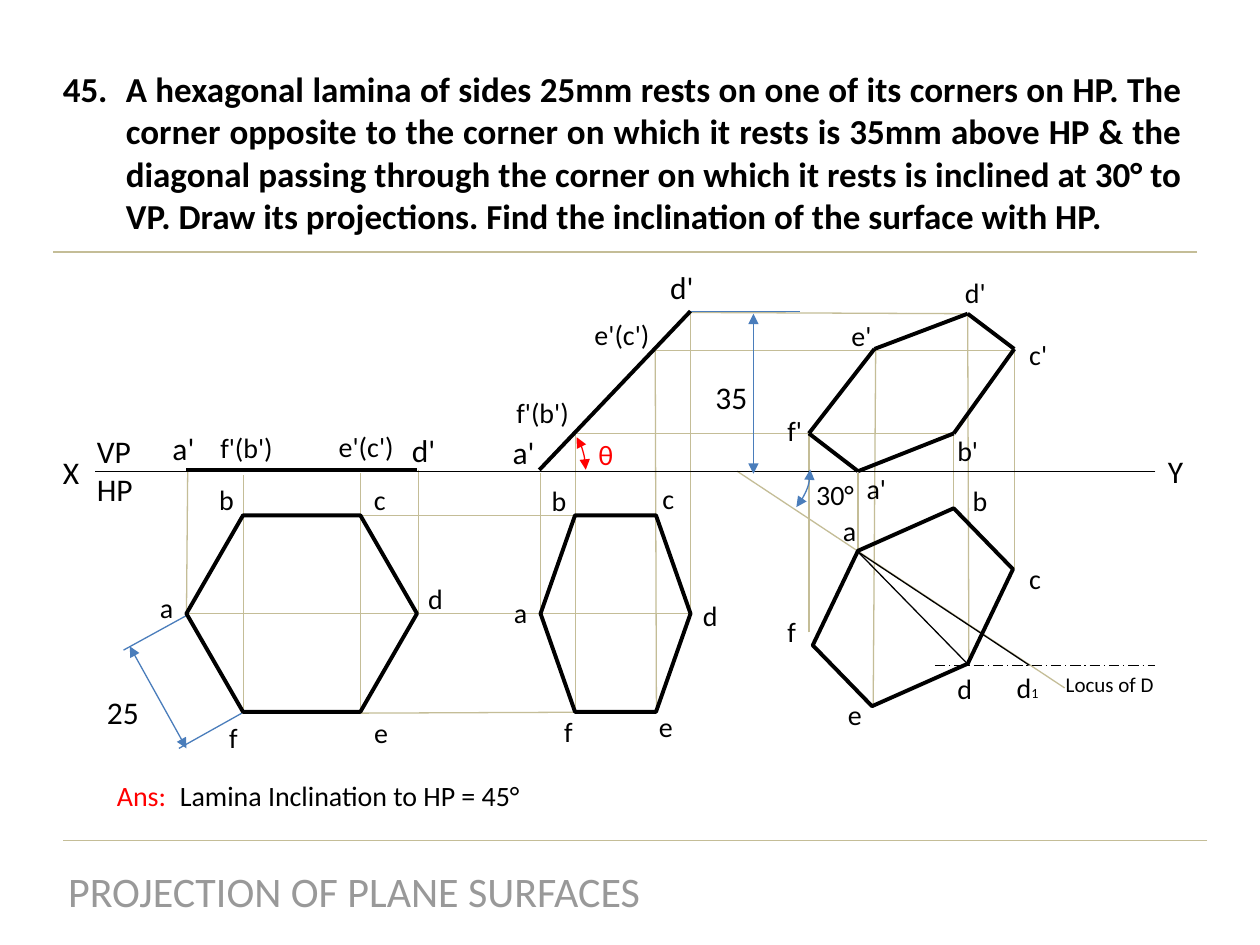
from dataclasses import dataclass

from pptx import Presentation
from pptx.dml.color import RGBColor
from pptx.enum.dml import MSO_LINE
from pptx.enum.shapes import MSO_CONNECTOR, MSO_SHAPE
from pptx.enum.text import PP_ALIGN
from pptx.oxml.ns import qn
from pptx.util import Inches, Pt
from lxml.etree import SubElement


@dataclass(frozen=True)
class Theme:
    font: str = "Calibri"
    ink: str = "000000"
    guide: str = "C4BD97"
    dimension: str = "4A7DBB"
    accent: str = "FF0000"
    footer: str = "999999"
    thin: float = 0.75
    thick: float = 2.25
    subscript: int = 8
    note: int = 12
    small: int = 16
    label: int = 18
    problem: int = 20
    title: int = 24


class Drawing:
    def __init__(self, slide, theme):
        self.slide = slide
        self.theme = theme

    def stroke(self, shape, color, width, arrows=False):
        shape.line.color.rgb = RGBColor.from_string(color)
        shape.line.width = Pt(width)
        if arrows:
            outline = shape.element.spPr.get_or_add_ln()
            for end in ("a:headEnd", "a:tailEnd"):
                SubElement(outline, qn(end), type="triangle")

    def line(self, start, end, color, width=None, arrows=False, dash=None):
        points = [Inches(value) for value in (*start, *end)]
        connector = self.slide.shapes.add_connector(MSO_CONNECTOR.STRAIGHT, *points)
        if dash:
            connector.line.dash_style = dash
        self.stroke(connector, color, width or self.theme.thin, arrows)
        SubElement(connector.element.spPr, qn("a:effectLst"))

    def outline(self, kind, box, adjustments, color, width, rotation=0, arrows=False):
        shape = self.slide.shapes.add_shape(kind, *[Inches(value) for value in box])
        shape.shadow.inherit = False
        for index, value in enumerate(adjustments):
            shape.adjustments[index] = value
        shape.rotation = rotation
        shape.fill.background()
        self.stroke(shape, color, width, arrows)

    def hexagon(self, box, inset, rotation=0):
        self.outline(MSO_SHAPE.HEXAGON, box, (inset, 1.155), self.theme.ink,
                     self.theme.thick, rotation)

    def angle(self, box, sweep, color, rotation=0):
        self.outline(MSO_SHAPE.ARC, box, sweep, color, self.theme.thin, rotation, True)

    def text(self, box, paragraphs, size, color=None, align=PP_ALIGN.LEFT,
             bold=False, wrap=False):
        text_box = self.slide.shapes.add_textbox(*[Inches(value) for value in box])
        text_frame = text_box.text_frame
        text_frame.word_wrap = wrap
        text_frame.text = "\n".join(paragraphs)
        for paragraph in text_frame.paragraphs:
            paragraph.alignment = align
            for run in paragraph.runs:
                self.style(run, size, color or self.theme.ink, bold)
        return text_frame.paragraphs[0]

    def style(self, run, size, color, bold=False):
        run.font.name = self.theme.font
        run.font.size = Pt(size)
        run.font.bold = bold
        run.font.color.rgb = RGBColor.from_string(color)

    def add_run(self, paragraph, text, size):
        run = paragraph.add_run()
        run.text = text
        self.style(run, size, self.theme.ink)

    def hang(self, paragraph, indent, start=None):
        properties = paragraph._p.get_or_add_pPr()
        properties.set("marL", str(Inches(indent)))
        properties.set("indent", str(-Inches(indent)))
        if start:
            SubElement(properties, qn("a:buFont"), typeface="+mj-lt")
            SubElement(properties, qn("a:buAutoNum"), type="arabicPeriod",
                       startAt=str(start))


GUIDES = [
    ((5.48, 2.48), (7.68, 2.49)), ((9.58, 6.67), (0.5, 6.67)), ((9.5, 2), (0.42, 2)),
    ((1.93, 5.66), (1.93, 3.77)), ((2.86, 5.66), (2.86, 3.75)),
    ((3.32, 3.73), (3.32, 4.87)), ((1.48, 4.87), (5.48, 4.87)),
    ((1.49, 3.73), (1.48, 4.87)), ((4.29, 4.87), (4.29, 3.75)),
    ((5.48, 4.87), (5.48, 2.49)), ((4.57, 5.65), (4.57, 3.41)),
    ((5.21, 5.65), (5.2, 2.77)), ((2.86, 4.09), (5.21, 4.09)),
    ((2.86, 5.66), (5.21, 5.65)), ((5.85, 3.74), (8.45, 5.46)),
    ((6.81, 4.38), (6.81, 3.75)), ((7.69, 5.28), (7.68, 2.49)),
    ((6.42, 5.02), (6.42, 3.44)), ((6.93, 5.61), (6.95, 2.78)),
    ((8.05, 4.52), (8.05, 2.78)), ((7.57, 4.04), (7.57, 3.44)),
    ((5.2, 2.78), (8.05, 2.78)), ((4.56, 3.44), (7.57, 3.44)),
]
FINAL_ELEVATION = [(6.81, 3.74), (7.57, 3.44), (8.05, 2.77),
                   (7.68, 2.49), (6.94, 2.77), (6.42, 3.44)]
CORNER_WIDTHS = {"a": 0.31, "b": 0.32, "c": 0.3, "d": 0.32, "e": 0.31, "f": 0.27,
                 "a'": 0.36, "b'": 0.37, "c'": 0.35, "d'": 0.37, "e'": 0.36, "f'": 0.32,
                 "f'(b')": 0.62, "e'(c')": 0.66, "30°": 0.54}
CORNERS = [
    ("a", 1.17, 4.64), ("b", 1.64, 3.78), ("c", 2.87, 3.78),
    ("d", 3.3, 4.57), ("e", 2.87, 5.63), ("f", 1.72, 5.67),
    ("a", 3.98, 4.68), ("b", 4.28, 3.79), ("c", 5.16, 3.77),
    ("d", 5.48, 4.7), ("e", 5.13, 5.58), ("f", 4.38, 5.62),
    ("a", 6.59, 4.03), ("b", 7.62, 3.79), ("c", 8.07, 4.41),
    ("d", 7.5, 5.28), ("e", 6.63, 5.49), ("f", 6.15, 4.83),
    ("a'", 6.78, 3.69), ("b'", 7.5, 3.39), ("c'", 8.07, 2.63),
    ("d'", 7.56, 2.14), ("e'", 6.66, 2.48), ("f'", 6.15, 3.23),
    ("f'(b')", 1.65, 3.37), ("e'(c')", 2.59, 3.36),
    ("f'(b')", 4, 3.09), ("e'(c')", 4.62, 2.47), ("30°", 6.38, 3.74),
]
LARGE_LABELS = [
    ("35", 5.58, 2.95, 0.46), ("25", 0.75, 5.45, 0.46),
    ("X", 0.4, 3.55, 0.33), ("Y", 9.17, 3.54, 0.32),
    ("a'", 1.27, 3.36, 0.42), ("d'", 3.17, 3.37, 0.45),
    ("a'", 3.97, 3.39, 0.42), ("d'", 5.22, 2.08, 0.45),
]
PROBLEM = (
    "A hexagonal lamina of sides 25mm rests on one of its corners on HP. The corner "
    "opposite to the corner on which it rests is 35mm above HP & the diagonal passing "
    "through the corner on which it rests is inclined at 30° to VP. Draw its "
    "projections. Find the inclination of the surface with HP."
)


def main():
    theme = Theme()
    presentation = Presentation()
    presentation.slide_width = Inches(10)
    presentation.slide_height = Inches(7.5)
    slide = presentation.slides.add_slide(presentation.slide_layouts[6])
    drawing = Drawing(slide, theme)

    for start, end in GUIDES:
        drawing.line(start, end, theme.guide)

    drawing.line((9.17, 3.74), (0.75, 3.74), theme.ink)
    drawing.line((7.42, 5.28), (9.17, 5.28), theme.ink, dash=MSO_LINE.LONG_DASH_DOT)
    for end in ((7.69, 5.28), (8.17, 5.28)):
        drawing.line((6.81, 4.38), end, theme.ink)

    for start, end in (((5.98, 2.49), (5.98, 3.76)), ((1.03, 5.13), (1.48, 5.94))):
        drawing.line(start, end, theme.dimension, arrows=True)
    for start, end in (((5.48, 2.47), (6.35, 2.47)), ((0.98, 5.16), (1.49, 4.88)),
                       ((1.42, 5.94), (1.92, 5.66))):
        drawing.line(start, end, theme.dimension)

    drawing.hexagon((1.48, 4.09, 1.83, 1.56), 0.288)
    drawing.hexagon((4.29, 4.09, 1.19, 1.56), 0.23)
    drawing.hexagon((6.62, 4.04, 1.25, 1.56), 0.23, 45.8)
    drawing.line((3.31, 3.73), (1.48, 3.73), theme.ink, theme.thick)
    drawing.line((5.48, 2.47), (4.28, 3.73), theme.ink, theme.thick)
    for start, end in zip(FINAL_ELEVATION, FINAL_ELEVATION[1:] + FINAL_ELEVATION[:1]):
        drawing.line(start, end, theme.ink, theme.thick)

    drawing.angle((4.29, 3.4, 0.36, 0.71), (174.47, 210.92), theme.accent)
    drawing.angle((5.68, 3.4, 0.67, 0.92), (174.47, 202.15), theme.dimension, 51.4)

    for name, left, top in CORNERS:
        drawing.text((left, top, CORNER_WIDTHS[name], 0.37), [name], theme.small)
    for name, left, top, width in LARGE_LABELS:
        drawing.text((left, top, width, 0.4), [name], theme.label)
    drawing.text((0.67, 3.38, 0.49, 0.71), ["VP", "HP"], theme.label)
    drawing.text((4.65, 3.42, 0.37, 0.37), ["θ"], theme.small, theme.accent)
    drawing.text((8.36, 5.28, 0.91, 0.3), ["Locus of D"], theme.note)
    rotated_corner = drawing.text((7.97, 5.27, 0.42, 0.37), ["d"], theme.small)
    drawing.add_run(rotated_corner, "1", theme.subscript)

    problem = drawing.text((0.4, 0.49, 9.08, 1.45), [PROBLEM], theme.problem,
                           align=PP_ALIGN.JUSTIFY, bold=True, wrap=True)
    drawing.hang(problem, 0.5, start=45)
    answer = drawing.text((0.83, 6.13, 3.47, 0.37), ["Ans:"], theme.small,
                          theme.accent, wrap=True)
    drawing.hang(answer, 0.5)
    drawing.add_run(answer, "\tLamina Inclination to HP = 45°", theme.small)
    drawing.text((0.42, 6.82, 4.78, 0.5), ["PROJECTION OF PLANE SURFACES"],
                 theme.title, theme.footer, PP_ALIGN.CENTER)

    presentation.save("out.pptx")


if __name__ == "__main__":
    main()
